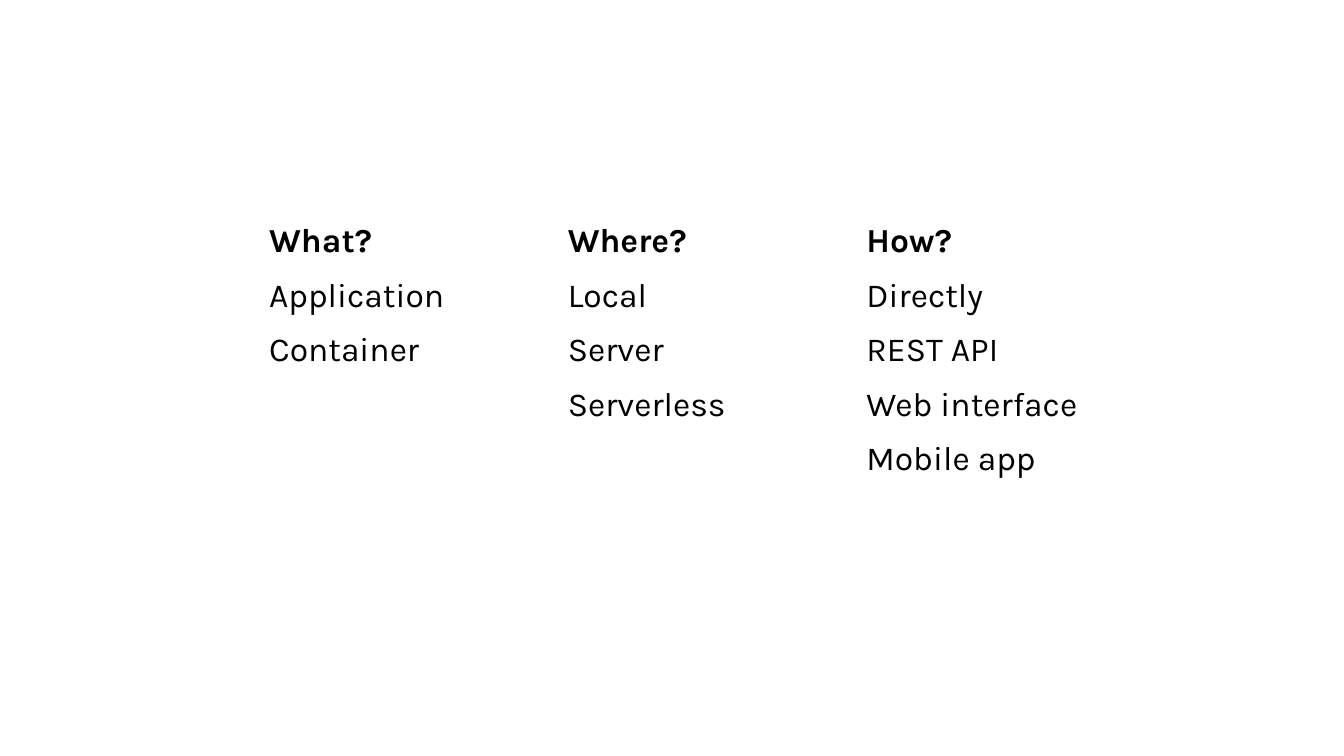
from pptx import Presentation
from pptx.dml.color import RGBColor
from pptx.enum.text import MSO_ANCHOR
from pptx.util import Pt

TOP = MSO_ANCHOR.TOP
FONT = "Karla"
BLACK = "000000"
LISTS = [
    ["What?", "Application", "Container"],
    ["Where?", "Local", "Server", "Serverless"],
    ["How?", "Directly", "REST API", "Web interface", "Mobile app"],
]
ROWS = 6


def color(code):
    """Turn a hex string into a colour."""
    return RGBColor.from_string(code)


def fill_cell(cell, text, bold):
    """Write one line of text into a clear cell."""
    cell.fill.background()
    cell.vertical_anchor = TOP
    cell.text_frame.text = text
    for run in cell.text_frame.paragraphs[0].runs:
        run.font.name = FONT
        run.font.size = Pt(18)
        run.font.bold = bold
        run.font.color.rgb = color(BLACK)


def add_grid(slide, left, top, width, height):
    """Place the table of lists, one list to a column."""
    frame = slide.shapes.add_table(
        ROWS, len(LISTS), Pt(left), Pt(top), Pt(width), Pt(height))
    table = frame.table
    table.first_row = False
    table.horz_banding = False
    for col, items in enumerate(LISTS):
        for row in range(ROWS):
            text = items[row] if row < len(items) else ""
            fill_cell(table.cell(row, col), text, row == 0)


def main():
    """Build and save the slide."""
    deck = Presentation()
    deck.slide_width, deck.slide_height = Pt(720), Pt(405)
    slide = deck.slides.add_slide(deck.slide_layouts[6])
    add_grid(slide, 137, 115.2, 480, 175.2)
    deck.save("out.pptx")


if __name__ == "__main__":
    main()
